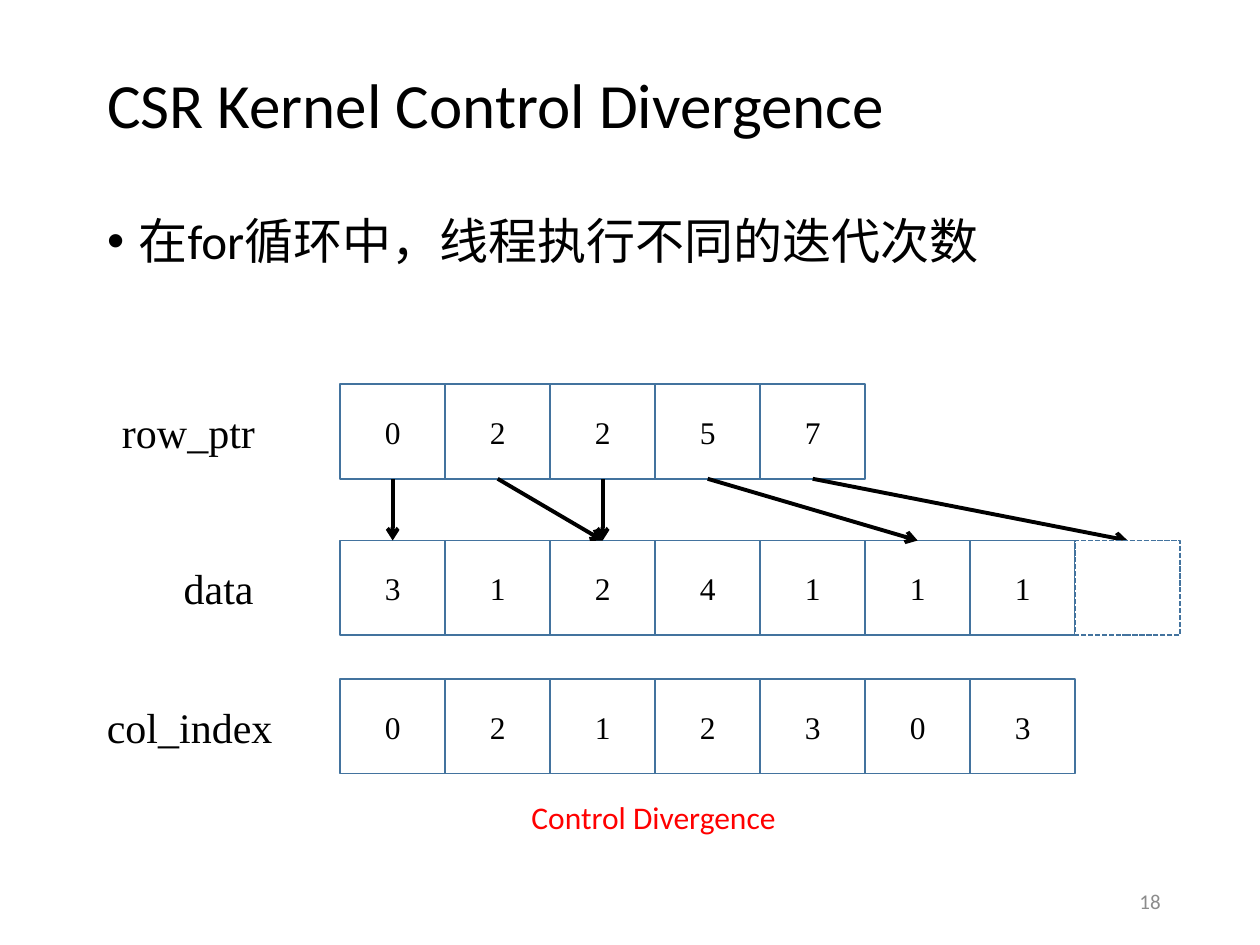
import lxml.etree
import pptx
import pptx.dml.color
import pptx.enum.dml
import pptx.enum.shapes
import pptx.enum.text
import pptx.oxml.ns
import pptx.util

WIDTH, HEIGHT = 10, 7.5
CELL_W, CELL_H = WIDTH / 12, HEIGHT / 10
ARRAY_LEFT = 2.7
ROW_PTR_TOP, DATA_TOP, COL_INDEX_TOP = 3.05, 4.29, 5.39
SERIF, SANS = "Times New Roman", "Calibri"
BLACK, WHITE, BLUE, RED, GREY = "000000", "FFFFFF", "43739E", "FF0000", "8C8C8C"
ALIGN = pptx.enum.text.PP_ALIGN
MIDDLE = pptx.enum.text.MSO_ANCHOR.MIDDLE

ROW_PTR = [0, 2, 2, 5, 7]
DATA = [3, 1, 2, 4, 1, 1, 1]
COL_INDEX = [0, 2, 1, 2, 3, 0, 3]


def inches(*lengths):
    return [pptx.util.Inches(length) for length in lengths]


def colour(value):
    return pptx.dml.color.RGBColor.from_string(value)


def add_xml(parent, tag, **attributes):
    lxml.etree.SubElement(parent, pptx.oxml.ns.qn(tag), **attributes)


def write(para, text, size, font, ink=BLACK, align=ALIGN.LEFT):
    para.alignment = align
    span = para.add_run()
    span.text = text
    span.font.size = pptx.util.Pt(size)
    span.font.name = font
    span.font.color.rgb = colour(ink)


def move(shape, box):
    shape.left, shape.top, shape.width, shape.height = inches(*box)


def fill_title(title, box):
    move(title, box)
    title.text_frame.vertical_anchor = MIDDLE
    title.text_frame.auto_size = pptx.enum.text.MSO_AUTO_SIZE.NONE
    para = title.text_frame.paragraphs[0]
    para.line_spacing = 0.9
    write(para, "CSR Kernel Control Divergence", 36, SANS)


def fill_body(body, box):
    move(body, box)
    body.text_frame.auto_size = pptx.enum.text.MSO_AUTO_SIZE.NONE
    para = body.text_frame.paragraphs[0]
    para.line_spacing = 0.9
    para.space_before = pptx.util.Pt(10)
    write(para, "在for循环中，线程执行不同的迭代次数", 28, SANS)
    indent = pptx.util.Inches(0.25)
    properties = para._p.get_or_add_pPr()
    properties.set("marL", str(indent))
    properties.set("indent", str(-indent))
    add_xml(properties, "a:buFont", typeface="Arial")
    add_xml(properties, "a:buChar", char="•")


def add_text(slide, box, text, size, font, ink=BLACK, align=ALIGN.LEFT, wrap=False):
    frame = slide.shapes.add_textbox(*inches(*box)).text_frame
    frame.word_wrap = wrap
    frame.vertical_anchor = MIDDLE
    write(frame.paragraphs[0], text, size, font, ink, align)


def add_cell(slide, column, top, text="", dashed=False):
    box = ARRAY_LEFT + column * CELL_W, top, CELL_W, CELL_H
    cell = slide.shapes.add_shape(pptx.enum.shapes.MSO_SHAPE.RECTANGLE, *inches(*box))
    cell.shadow.inherit = False
    cell.fill.solid()
    cell.fill.fore_color.rgb = colour(WHITE)
    cell.line.color.rgb = colour(BLUE)
    cell.line.width = pptx.util.Pt(1)
    if dashed:
        cell.line.dash_style = pptx.enum.dml.MSO_LINE.SQUARE_DOT
    if text:
        cell.text_frame.vertical_anchor = MIDDLE
        write(cell.text_frame.paragraphs[0], text, 18, SERIF, align=ALIGN.CENTER)


def add_array(slide, top, values, name, name_left, name_width):
    """Draw one row of cells with its name to the left."""
    for column, value in enumerate(values):
        add_cell(slide, column, top, str(value))
    add_text(slide, (name_left, top, name_width, CELL_H), name, 24, SERIF)


def add_pointer(slide, start_column, end_column):
    """Link a row_ptr cell to the data cell it indexes."""
    start_x, end_x = (ARRAY_LEFT + (column + 0.5) * CELL_W
                      for column in (start_column, end_column))
    arrow = slide.shapes.add_connector(
        pptx.enum.shapes.MSO_CONNECTOR.STRAIGHT,
        *inches(start_x, ROW_PTR_TOP + CELL_H, end_x, DATA_TOP))
    arrow.line.color.rgb = colour(BLACK)
    arrow.line.width = pptx.util.Pt(2.25)
    add_xml(arrow._element.spPr.find(pptx.oxml.ns.qn("a:ln")), "a:tailEnd", type="arrow")
    add_xml(arrow._element.spPr, "a:effectLst")


def add_diagram(slide):
    add_array(slide, DATA_TOP, DATA, "data", 1.36, 0.76)
    add_array(slide, COL_INDEX_TOP, COL_INDEX, "col_index", 0.75, 1.53)
    add_array(slide, ROW_PTR_TOP, ROW_PTR, "row_ptr", 0.87, 1.3)
    for column, target in enumerate(ROW_PTR):
        add_pointer(slide, column, target)
    add_cell(slide, len(DATA), DATA_TOP, dashed=True)


def main():
    deck = pptx.Presentation()
    deck.slide_width, deck.slide_height = inches(WIDTH, HEIGHT)
    slide = deck.slides.add_slide(deck.slide_layouts[1])
    fill_title(slide.shapes.title, (0.75, 0.52, 9.08, 0.67))
    fill_body(slide.placeholders[1], (0.75, 1.67, 9.08, 2.41))
    add_diagram(slide)
    add_text(slide, (4.12, 6.28, 2.16, 0.4), "Control Divergence", 18, SANS, RED)
    add_text(slide, (7.06, 6.95, 2.25, 0.4), "18", 12, SANS, GREY, ALIGN.RIGHT, True)
    deck.save("out.pptx")


if __name__ == "__main__":
    main()
